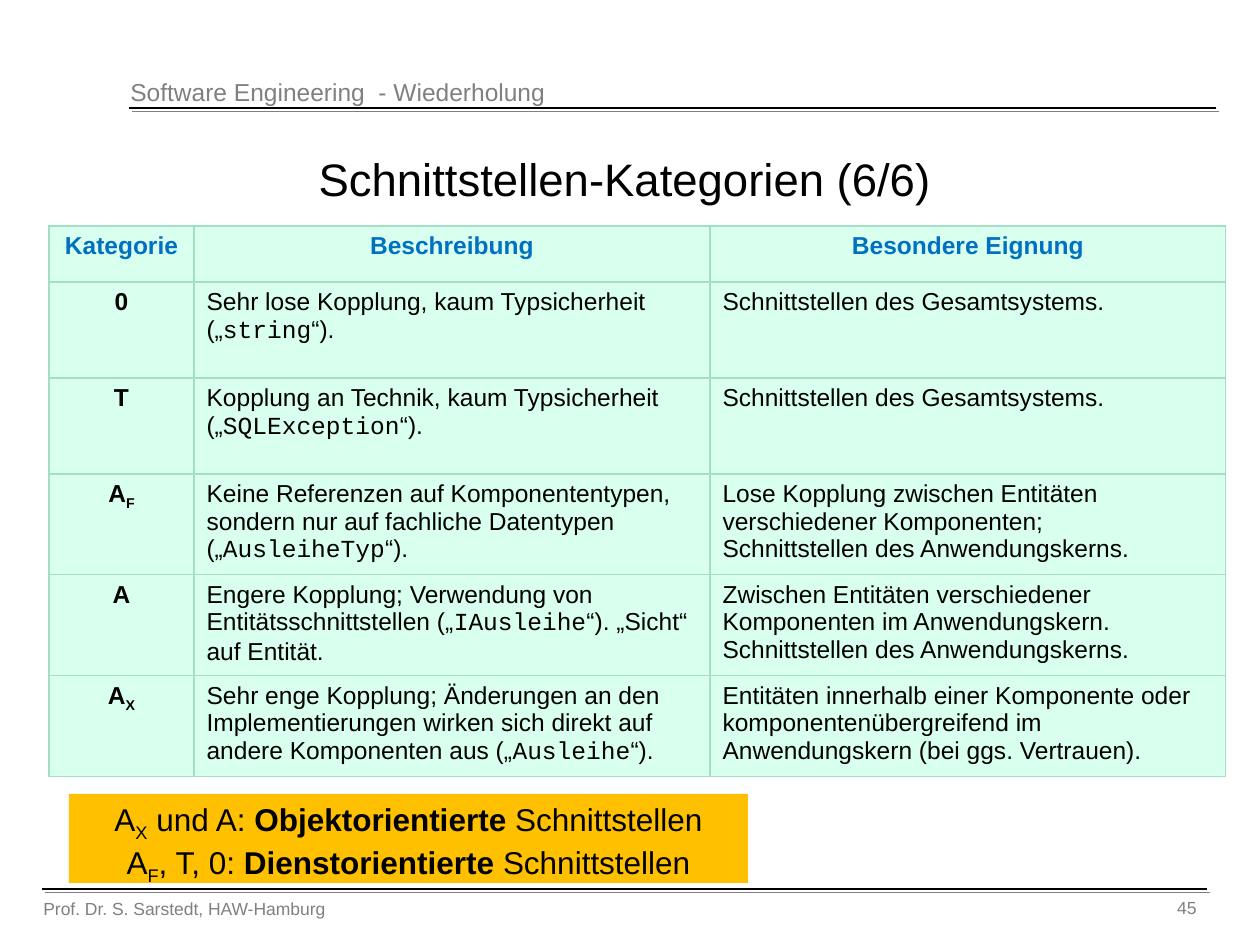
import lxml.etree
import pptx
import pptx.dml.color
import pptx.enum.shapes
import pptx.enum.text
import pptx.oxml.ns
import pptx.util

RGB = pptx.dml.color.RGBColor
BLACK = RGB(0x00, 0x00, 0x00)
GRAY = RGB(0x80, 0x80, 0x80)
BLUE = RGB(0x00, 0x70, 0xC0)
MINT = RGB(0xD9, 0xFF, 0xEF)
EDGE = RGB(0xA5, 0xDE, 0xC6)
AMBER = RGB(0xFF, 0xC0, 0x00)

ALIGN = pptx.enum.text.PP_ALIGN
ANCHOR = pptx.enum.text.MSO_ANCHOR
SIZE = pptx.enum.text.MSO_AUTO_SIZE
KINDS = {"bold": {"bold": True}, "code": {"name": "Courier New"}}


def px(num):
    return pptx.util.Emu(round(num * 914400 / 126))


def node(parent, tag, **attrs):
    return lxml.etree.SubElement(parent, pptx.oxml.ns.qn("a:" + tag), attrs)


class Deck:
    def __init__(self):
        self.file = pptx.Presentation()
        self.file.slide_width = px(1260)
        self.file.slide_height = px(945)
        self.slide = self.file.slides.add_slide(self.file.slide_layouts[5])
        self.font = {"name": "Arial", "bold": False}

    def fill_text(self, frame, paras, size, color=BLACK, align=ALIGN.LEFT, **style):
        frame.word_wrap = True
        for i, runs in enumerate(paras):
            para = frame.add_paragraph() if i else frame.paragraphs[0]
            para.alignment = align
            para.space_before = pptx.util.Pt(0)
            for item in [runs] if isinstance(runs, str) else runs:
                if item == "\n":
                    para.add_line_break()
                    continue
                text, kind = (item, "") if isinstance(item, str) else item
                run = para.add_run()
                run.text = text
                form = {**self.font, "size": pptx.util.Pt(size), **style, **KINDS.get(kind, {})}
                for key, val in form.items():
                    setattr(run.font, key, val)
                run.font.color.rgb = color
                if kind == "sub":
                    run.font._element.set("baseline", "-25000")

    def title(self, box, text):
        shape = self.slide.shapes.title
        self.place(shape, box)
        shape.text_frame.auto_size = SIZE.NONE
        shape.text_frame.vertical_anchor = ANCHOR.MIDDLE
        self.fill_text(shape.text_frame, [text], 26, align=ALIGN.CENTER)

    def place(self, shape, box):
        for key, val in zip(("left", "top", "width", "height"), box):
            setattr(shape, key, px(val))

    def label(self, box, text, size, align=ALIGN.LEFT):
        shape = self.slide.shapes.add_textbox(*map(px, box))
        self.fill_text(shape.text_frame, [text], size, GRAY, align)

    def rule(self, left, right, top):
        kind = pptx.enum.shapes.MSO_CONNECTOR.STRAIGHT
        line = self.slide.shapes.add_connector(kind, px(left), px(top), px(right), px(top))
        line.line.color.rgb = BLACK
        line.line.width = pptx.util.Pt(0.75)
        glow = node(node(line._element.spPr, "effectLst"), "outerShdw",
                    dist="35560", dir="2700000", algn="ctr", rotWithShape="0")
        node(glow, "srgbClr", val=str(GRAY))

    def panel(self, box, paras, size):
        kind = pptx.enum.shapes.MSO_SHAPE.RECTANGLE
        shape = self.slide.shapes.add_shape(kind, *map(px, box))
        shape.shadow.inherit = False
        shape.fill.solid()
        shape.fill.fore_color.rgb = AMBER
        shape.line.fill.background()
        shape.text_frame.vertical_anchor = ANCHOR.TOP
        self.fill_text(shape.text_frame, paras, size, align=ALIGN.CENTER)

    def border(self, cell):
        props = cell._tc.get_or_add_tcPr()
        for i, side in enumerate(("lnL", "lnR", "lnT", "lnB")):
            line = node(props, side, w="9525")
            node(node(line, "solidFill"), "srgbClr", val=str(EDGE))
            props.insert(i, line)

    def table(self, left, top, cols, rows, data):
        box = (left, top, sum(cols), sum(rows))
        grid = self.slide.shapes.add_table(len(rows), len(cols), *map(px, box)).table
        grid.horz_banding = False
        for col, wide in zip(grid.columns, cols):
            col.width = px(wide)
        for row, high in zip(grid.rows, rows):
            row.height = px(high)
        for r, line in enumerate(data):
            for c, paras in enumerate(line):
                cell = grid.cell(r, c)
                cell.fill.solid()
                cell.fill.fore_color.rgb = MINT
                self.border(cell)
                head = r == 0 or c == 0
                self.fill_text(cell.text_frame, paras, 14, BLACK if r else BLUE,
                               ALIGN.CENTER if head else ALIGN.LEFT, bold=head)


def quote(start, code, end="“)."):
    return [[start + " („", (code, "code"), end]]


def main():
    deck = Deck()
    deck.rule(129, 1216, 108)
    deck.rule(42, 1207, 889)
    deck.label((31, 892, 567, 34), "Prof. Dr. S. Sarstedt, HAW-Hamburg", 10)
    deck.label((118, 71, 883, 43), "Software Engineering  - Wiederholung", 14)
    deck.label((1081, 891, 128, 39), "45", 10, ALIGN.RIGHT)
    deck.title((42, 147, 1166, 63), "Schnittstellen-Kategorien (6/6)")
    whole = ["Schnittstellen des Gesamtsystems."]
    data = [
        (["Kategorie"], ["Beschreibung"], ["Besondere Eignung"]),
        (["0"], quote("Sehr lose Kopplung, kaum Typsicherheit", "string"), whole),
        (["T"], quote("Kopplung an Technik, kaum Typsicherheit", "SQLException"), whole),
        ([["A", ("F", "sub")]],
         quote("Keine Referenzen auf Komponententypen, sondern nur auf fachliche Datentypen",
               "AusleiheTyp"),
         ["Lose Kopplung zwischen Entitäten verschiedener Komponenten;",
          "Schnittstellen des Anwendungskerns."]),
        (["A"],
         quote("Engere Kopplung; Verwendung von Entitätsschnittstellen",
               "IAusleihe", "“). „Sicht“ auf Entität."),
         ["Zwischen Entitäten verschiedener Komponenten im Anwendungskern. "
          "Schnittstellen des Anwendungskerns."]),
        ([["A", ("X", "sub")]],
         quote("Sehr enge Kopplung; Änderungen an den Implementierungen wirken sich "
               "direkt auf andere Komponenten aus", "Ausleihe"),
         ["Entitäten innerhalb einer Komponente oder komponentenübergreifend im "
          "Anwendungskern (bei ggs. Vertrauen)."]),
    ]
    deck.table(49, 226, [145, 516, 516], [56] + [96] * 2 + [97] * 3, data)
    deck.panel((69, 794, 679, 89), [[
        "A", ("X", "sub"), " und A: ", ("Objektorientierte", "bold"), " Schnittstellen", "\n",
        "A", ("F", "sub"), ", T, 0: ", ("Dienstorientierte", "bold"), " Schnittstellen",
    ]], 18)
    deck.file.save("out.pptx")


if __name__ == "__main__":
    main()
